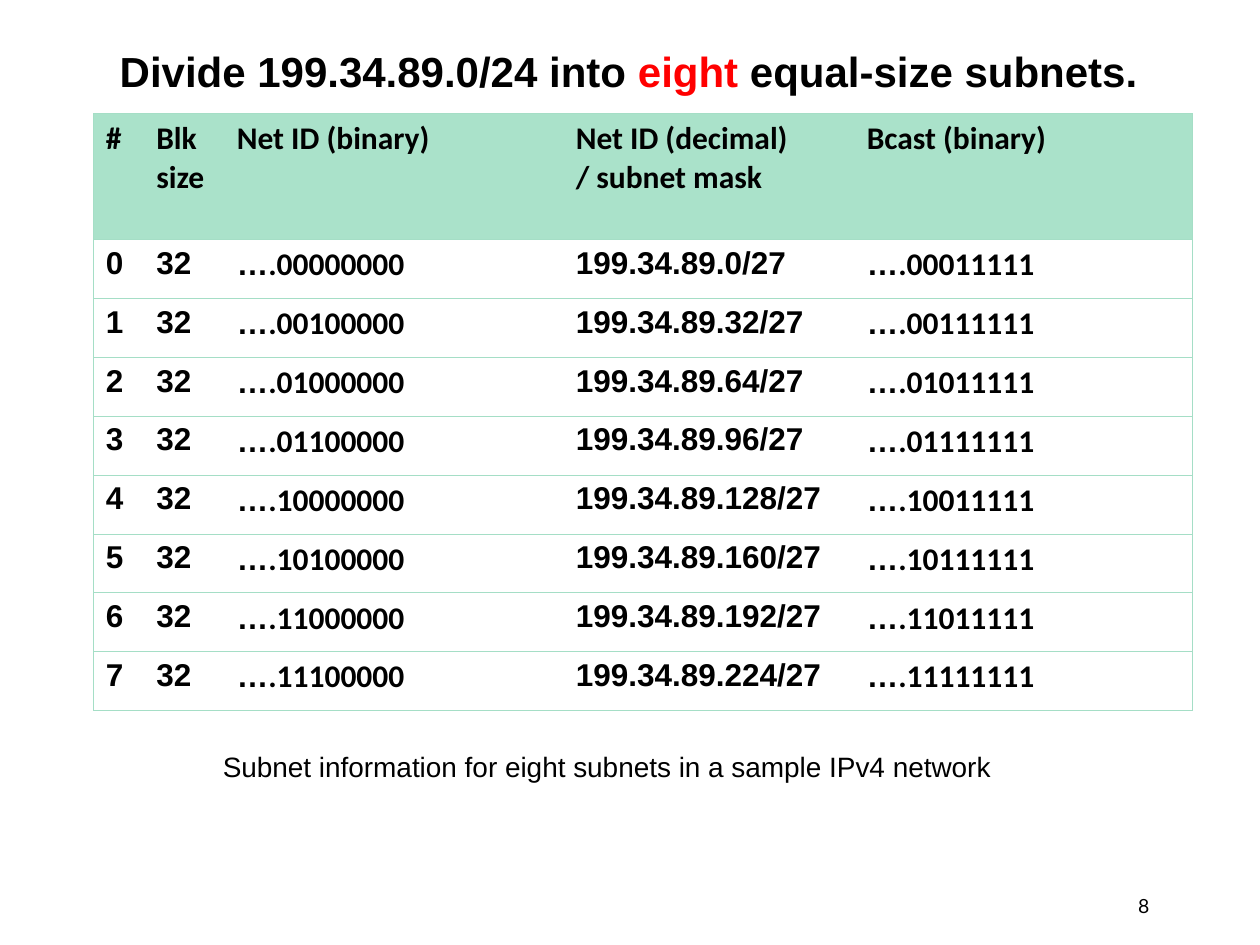
from lxml.etree import SubElement
from pptx import Presentation
from pptx.dml.color import RGBColor
from pptx.enum.text import MSO_ANCHOR, MSO_AUTO_SIZE, PP_ALIGN
from pptx.oxml.ns import qn
from pptx.util import Inches, Pt

BLACK = RGBColor(0x00, 0x00, 0x00)
RED = RGBColor(0xFF, 0x00, 0x00)
MINT = RGBColor(0xAA, 0xE2, 0xCA)
RULE = RGBColor(0xA5, 0xDE, 0xC6)
NO_STYLE = "{2D5ABB26-0587-4C30-8999-92F81FD0307C}"
SUBNETS = 8
BLOCK = 256 // SUBNETS
PREFIX = 27


class Deck:
    def __init__(self, width, height):
        self.prs = Presentation()
        self.prs.slide_width = Inches(width)
        self.prs.slide_height = Inches(height)
        self.s = self.prs.slides.add_slide(self.prs.slide_layouts[5])

    def run(self, p, text, size, font="Arial", bold=False, color=BLACK):
        r = p.add_run()
        r.text = text
        r.font.size = Pt(size)
        r.font.name = font
        r.font.bold = bold
        r.font.color.rgb = color

    def title(self, box, runs):
        sp = self.s.shapes.title
        sp.left, sp.top, sp.width, sp.height = map(Inches, box)
        tf = sp.text_frame
        tf.auto_size = MSO_AUTO_SIZE.NONE
        tf.vertical_anchor = MSO_ANCHOR.TOP
        p = tf.paragraphs[0]
        p.alignment = PP_ALIGN.LEFT
        p._p.get_or_add_pPr().set("marL", str(Inches(0.5)))
        for text, color in runs:
            self.run(p, text, 24, bold=True, color=color)

    def text(self, box, text, size, font="Arial", align=PP_ALIGN.LEFT,
             wrap=True, spacing=1.0):
        tf = self.s.shapes.add_textbox(*map(Inches, box)).text_frame
        tf.word_wrap = wrap
        p = tf.paragraphs[0]
        p.alignment = align
        p.line_spacing = spacing
        self.run(p, text, size, font)

    def border(self, cell, sides):
        tcPr = cell._tc.get_or_add_tcPr()
        for side in sides:
            ln = SubElement(tcPr, qn(f"a:ln{side}"), w=str(Pt(0.34)))
            fill = SubElement(ln, qn("a:solidFill"))
            SubElement(fill, qn("a:srgbClr"), val=str(RULE))

    def table(self, box, widths, header_height, rows):
        frame = self.s.shapes.add_table(len(rows), len(widths), *map(Inches, box))
        table = frame.table
        table.first_row = table.horz_banding = False
        table._tbl.tblPr.find(qn("a:tableStyleId")).text = NO_STYLE
        for col, width in zip(table.columns, widths):
            col.width = Inches(width)
        row_height = (box[3] - header_height) / (len(rows) - 1)
        for i, row in enumerate(rows):
            table.rows[i].height = Inches(row_height if i else header_height)
            for j, paragraphs in enumerate(row):
                cell = table.cell(i, j)
                left = "L" if j == 0 else ""
                right = "R" if j == len(widths) - 1 else ""
                self.border(cell, left + right + "TB")
                if i:
                    cell.fill.background()
                else:
                    cell.fill.solid()
                    cell.fill.fore_color.rgb = MINT
                tf = cell.text_frame
                for k, runs in enumerate(paragraphs):
                    p = tf.add_paragraph() if k else tf.paragraphs[0]
                    for text, font in runs:
                        self.run(p, text, 18, font, bold=True)


def heading(*lines):
    return [[(line, "Calibri")] for line in lines]


def plain(value):
    return [[(str(value), "Arial")]]


def binary(value):
    return [[("…", "Arial"), (f".{value:08b}", "Calibri")]]


def subnet_row(number):
    start = number * BLOCK
    return [plain(number), plain(BLOCK), binary(start),
            plain(f"199.34.89.{start}/{PREFIX}"), binary(start + BLOCK - 1)]


def main():
    deck = Deck(10, 7.5)
    deck.title((0.35, 0.31, 8.95, 0.5), [
        ("Divide 199.34.89.0/24 into ", BLACK),
        ("eight", RED),
        (" equal-size subnets.", BLACK),
    ])
    header = [heading("#"), heading("Blk size"), heading("Net ID (binary)"),
              heading("Net ID (decimal)", "/ subnet mask"),
              heading("Bcast (binary)")]
    deck.table((0.74, 0.9, 8.72, 4.74), [0.4, 0.64, 2.69, 2.31, 2.68], 1,
               [header] + [subnet_row(n) for n in range(SUBNETS)])
    deck.text((1.67, 5.9, 6.3, 0.37),
              "Subnet information for eight subnets in a sample IPv4 network",
              16, wrap=False)
    deck.text((6.05, 7.07, 3.17, 0.31), "8", 11.1, "Lato",
              PP_ALIGN.RIGHT, spacing=0.9)
    deck.prs.save("out.pptx")


if __name__ == "__main__":
    main()
